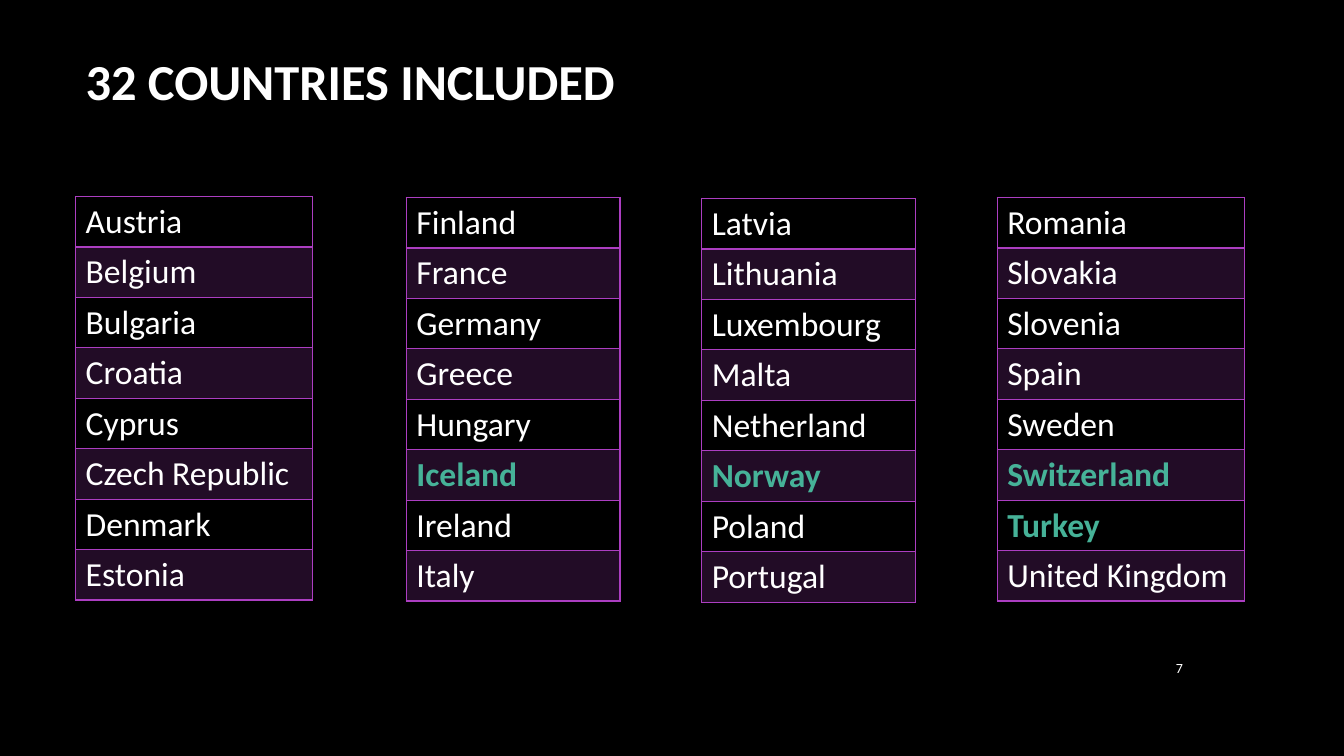
from lxml.etree import SubElement as Sub
from pptx import Presentation
from pptx.dml.color import RGBColor as RGB
from pptx.enum.text import MSO_ANCHOR as Anchor, PP_ALIGN as Align
from pptx.oxml.ns import qn
from pptx.util import Inches, Pt

TITLE = "32 COUNTRIES INCLUDED"
PAGE = "7"
# left, top, width, countries
LISTS = [
    (0.75, 1.95, 2.35, ["Austria", "Belgium", "Bulgaria", "Croatia", "Cyprus",
                        "Czech Republic", "Denmark", "Estonia"]),
    (4.03, 1.96, 2.12, ["Finland", "France", "Germany", "Greece", "Hungary",
                        "Iceland", "Ireland", "Italy"]),
    (6.96, 1.97, 2.12, ["Latvia", "Lithuania", "Luxembourg", "Malta",
                        "Netherland", "Norway", "Poland", "Portugal"]),
    (9.89, 1.96, 2.45, ["Romania", "Slovakia", "Slovenia", "Spain", "Sweden",
                        "Switzerland", "Turkey", "United Kingdom"]),
]
MARKED = {"Iceland", "Norway", "Switzerland", "Turkey"}

BLACK = RGB(0x00, 0x00, 0x00)
WHITE = RGB(0xFF, 0xFF, 0xFF)
PURPLE = RGB(0xAC, 0x3E, 0xC1)
GREEN = RGB(0x46, 0xB2, 0x98)
FONT = "Calibri"
ROW = 0.5


def style(para, size, color=WHITE, bold=False):
    font = para.font
    font.name, font.size, font.bold = FONT, Pt(size), bold
    font.color.rgb = color


def label(text, left, top, width, height, size, bold=False, align=Align.LEFT):
    box = slide.shapes.add_textbox(*map(Inches, (left, top, width, height)))
    frame = box.text_frame
    frame.word_wrap = True
    frame.vertical_anchor = Anchor.MIDDLE
    para = frame.paragraphs[0]
    para.text, para.alignment = text, align
    style(para, size, bold=bold)


def border(cell, side, width):
    line = Sub(cell._tc.get_or_add_tcPr(), qn("a:ln" + side), w=str(Pt(width)))
    fill = Sub(line, qn("a:solidFill"))
    Sub(fill, qn("a:srgbClr"), val=str(PURPLE))


def tint(cell, alpha):
    cell.fill.solid()
    cell.fill.fore_color.rgb = PURPLE
    color = cell._tc.tcPr.find(".//" + qn("a:solidFill") + "[last()]")
    color = cell._tc.tcPr.find(qn("a:solidFill")).find(qn("a:srgbClr"))
    Sub(color, qn("a:alpha"), val=str(alpha * 1000))


def roster(left, top, width, names):
    frame = slide.shapes.add_table(
        len(names), 1, Inches(left), Inches(top),
        Inches(width), Inches(ROW * len(names)))
    table = frame.table
    for i, name in enumerate(names):
        cell = table.cell(i, 0)
        cell.text = name
        hit = name in MARKED
        style(cell.text_frame.paragraphs[0], 24, GREEN if hit else WHITE, hit)
        # The rule under the first row is thicker
        for side in "LRTB":
            thick = (i, side) in ((0, "B"), (1, "T"))
            border(cell, side, 2 if thick else 1)
        if i % 2:
            tint(cell, 20)
        else:
            cell.fill.background()


# Slide
deck = Presentation()
deck.slide_width, deck.slide_height = Inches(13.33), Inches(7.5)
slide = deck.slides.add_slide(deck.slide_layouts[6])
slide.background.fill.solid()
slide.background.fill.fore_color.rgb = BLACK

# Title, country lists and page number
label(TITLE, 0.75, 0, 11.08, 1.59, 36, bold=True)
for entry in LISTS:
    roster(*entry)
label(PAGE, 11.23, 6.42, 0.6, 0.41, 10, align=Align.RIGHT)

deck.save("out.pptx")
